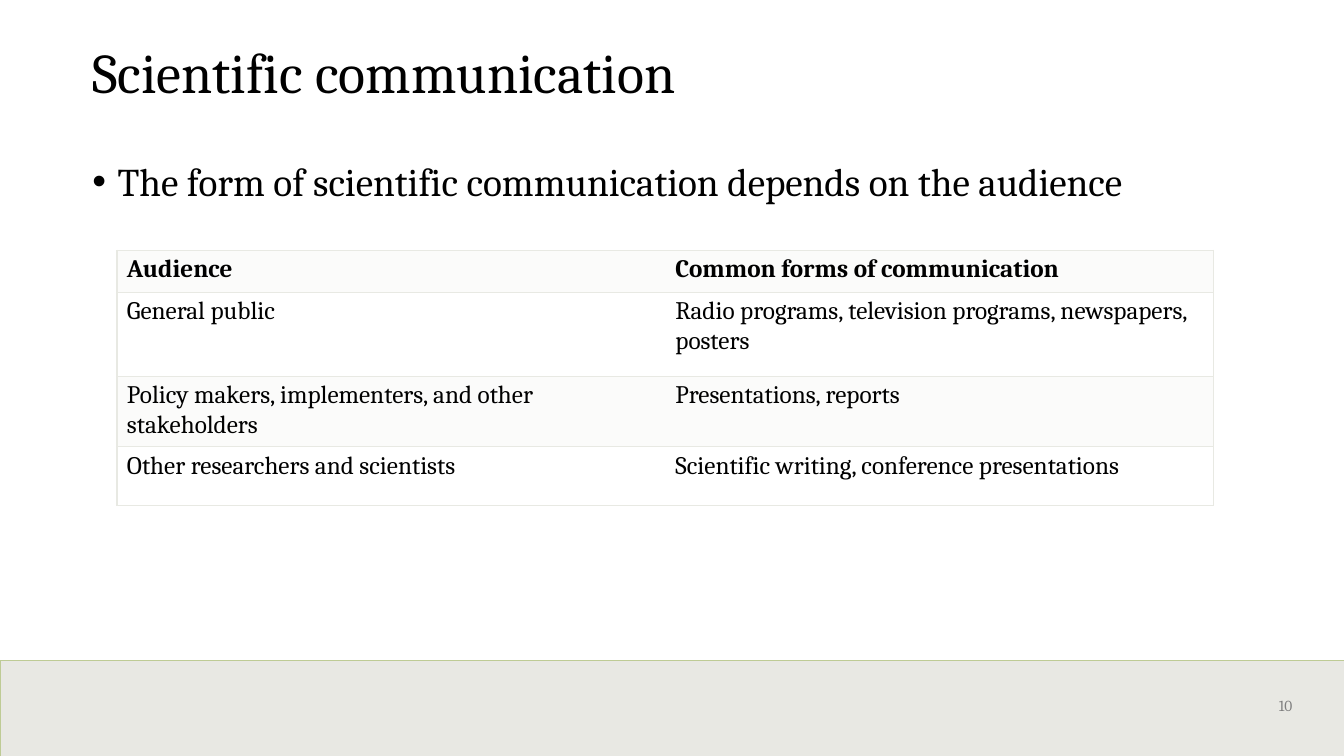
"""Build the slide on how the form of scientific communication depends on the audience."""
import pptx
import pptx.util
import pptx.dml.color
import pptx.enum.shapes
import pptx.enum.text
import pptx.oxml
import pptx.oxml.ns

Pt = pptx.util.Pt
qn = pptx.oxml.ns.qn
NS = pptx.oxml.ns.nsdecls("a")
COLORS = {"ink": "000000", "muted": "7F7F7F", "band": "D3D3C9", "band_edge": "BECB95",
          "grid": "E8E9E3", "stripe": "FBFBFA", "paper": "FFFFFF"}


class SlideBuilder:
    """Hold the style and the current slide."""

    font = "Cambria"

    def __init__(self, slide):
        self.slide = slide

    def color(self, name):
        return pptx.dml.color.RGBColor.from_string(COLORS[name])

    def apply(self, target, values):
        for attribute, value in values.items():
            setattr(target, attribute, value)

    def add_words(self, paragraph, words, size, color="ink", bold=False, **spacing):
        run = paragraph.add_run()
        run.text = words
        self.apply(run.font, {"name": self.font, "size": Pt(size), "bold": bold})
        run.font.color.rgb = self.color(color)
        self.apply(paragraph, spacing)

    def band(self, box, fill, edge, width, alpha):
        footer = self.slide.shapes.add_shape(
            pptx.enum.shapes.MSO_SHAPE.RECTANGLE, *map(Pt, box))
        footer.shadow.inherit = False
        footer.fill.solid()
        footer.fill.fore_color.rgb = self.color(fill)
        tint = footer._element.spPr.find(qn("a:solidFill"))[0]
        tint.append(pptx.oxml.parse_xml(f'<a:alpha {NS} val="{alpha * 1000}"/>'))
        footer.line.color.rgb = self.color(edge)
        footer.line.width = Pt(width)

    def text(self, box, words, size, left_inset=0, indent=(0, 0), bullet=None, **style):
        frame = self.slide.shapes.add_textbox(*map(Pt, box)).text_frame
        self.apply(frame, {"word_wrap": True, "margin_left": Pt(left_inset),
                           "vertical_anchor": pptx.enum.text.MSO_ANCHOR.TOP})
        paragraph = frame.paragraphs[0]
        self.add_words(paragraph, words, size, **style)
        properties = paragraph._p.get_or_add_pPr()
        for key, length in zip(("marL", "indent"), indent):
            properties.set(key, str(int(Pt(length))))
        if bullet:
            properties.append(pptx.oxml.parse_xml(f'<a:buFont {NS} typeface="Arial"/>'))
            properties.append(pptx.oxml.parse_xml(f'<a:buChar {NS} char="{bullet}"/>'))

    def border(self, cell, sides):
        properties = cell._tc.get_or_add_tcPr()
        for side in "LRTB":
            paint = (f'<a:solidFill><a:srgbClr val="{COLORS["grid"]}"/></a:solidFill>'
                     if side in sides else "<a:noFill/>")
            properties.append(pptx.oxml.parse_xml(
                f'<a:ln{side} {NS} w="{int(Pt(1))}">{paint}</a:ln{side}>'))

    def table(self, box, rows, heights, size):
        grid = self.slide.shapes.add_table(
            len(rows), len(rows[0]), *map(Pt, box)).table
        for row, height in zip(grid.rows, heights):
            row.height = Pt(height)
        for r, entries in enumerate(rows):
            for c, words in enumerate(entries):
                cell = grid.cell(r, c)
                self.add_words(cell.text_frame.paragraphs[0], words, size, bold=r == 0)
                self.border(cell, "TB" + ("L" if c == 0 else "R"))
                cell.fill.solid()
                cell.fill.fore_color.rgb = self.color("paper" if r % 2 else "stripe")


deck = pptx.Presentation()
deck.slide_width, deck.slide_height = Pt(960), Pt(540)
builder = SlideBuilder(deck.slides.add_slide(deck.slide_layouts[6]))

builder.band((0, 472, 960, 68), "band", "band_edge", 0.5, alpha=50)
builder.text((892, 494, 50.5, 26.5), "10", 11, left_inset=7.2, indent=(14.4, 0),
             color="muted", space_before=Pt(2.2))
builder.text((66, 28.75, 819, 63), "Scientific communication", 40, line_spacing=0.9)
builder.text((66, 112.5, 828, 343), "The form of scientific communication depends on the audience",
             28, indent=(18, -18), bullet="•", line_spacing=0.9, space_before=Pt(10))

audiences = [
    ("Audience", "Common forms of communication"),
    ("General public", "Radio programs, television programs, newspapers, posters"),
    ("Policy makers, implementers, and other stakeholders", "Presentations, reports"),
    ("Other researchers and scientists", "Scientific writing, conference presentations"),
]
builder.table((83.5, 178.75, 783.5, 181), audiences, (30, 60, 42, 42), 18)

deck.save("out.pptx")
